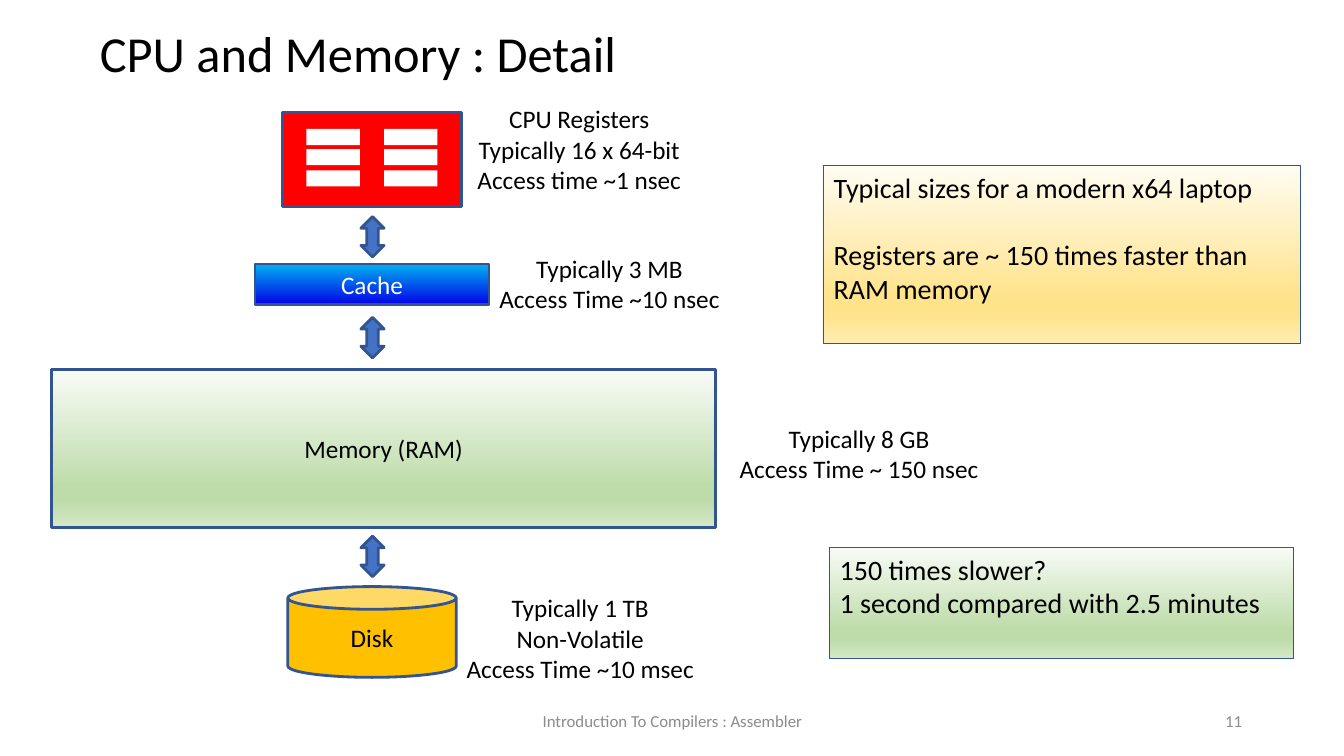
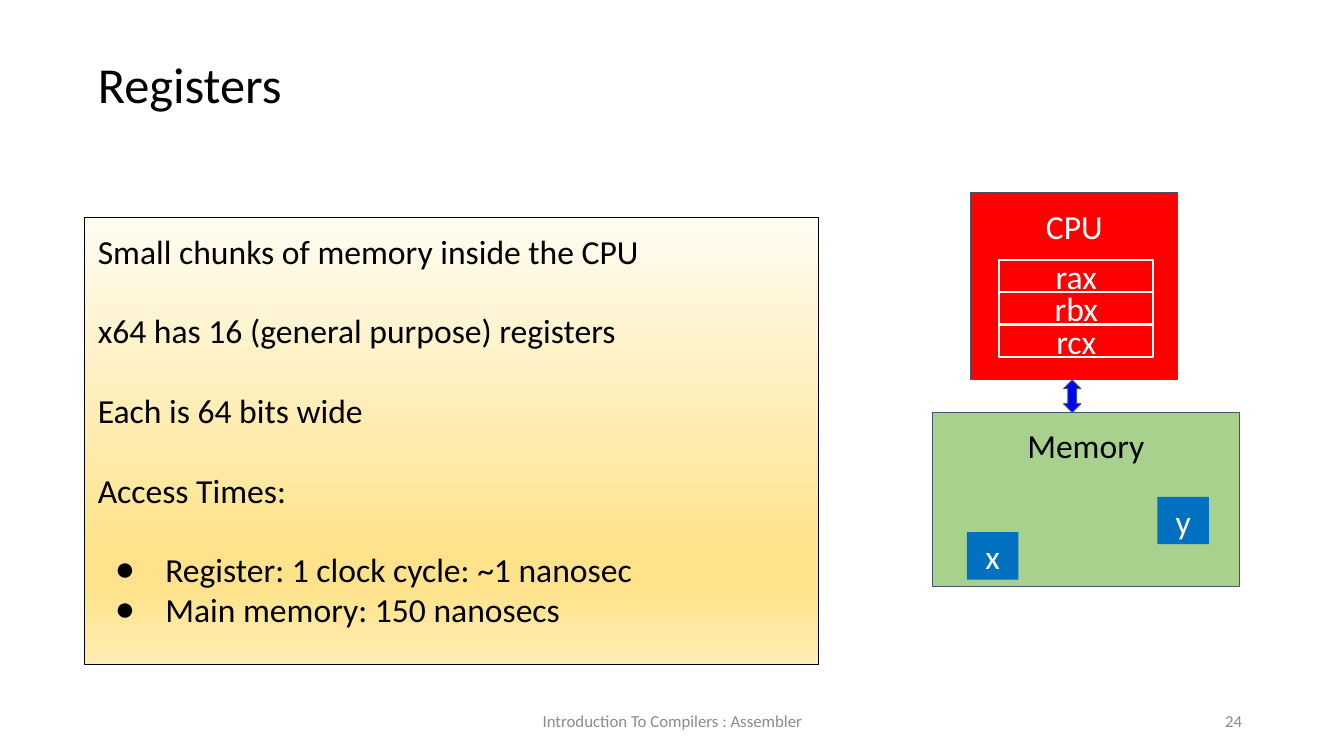
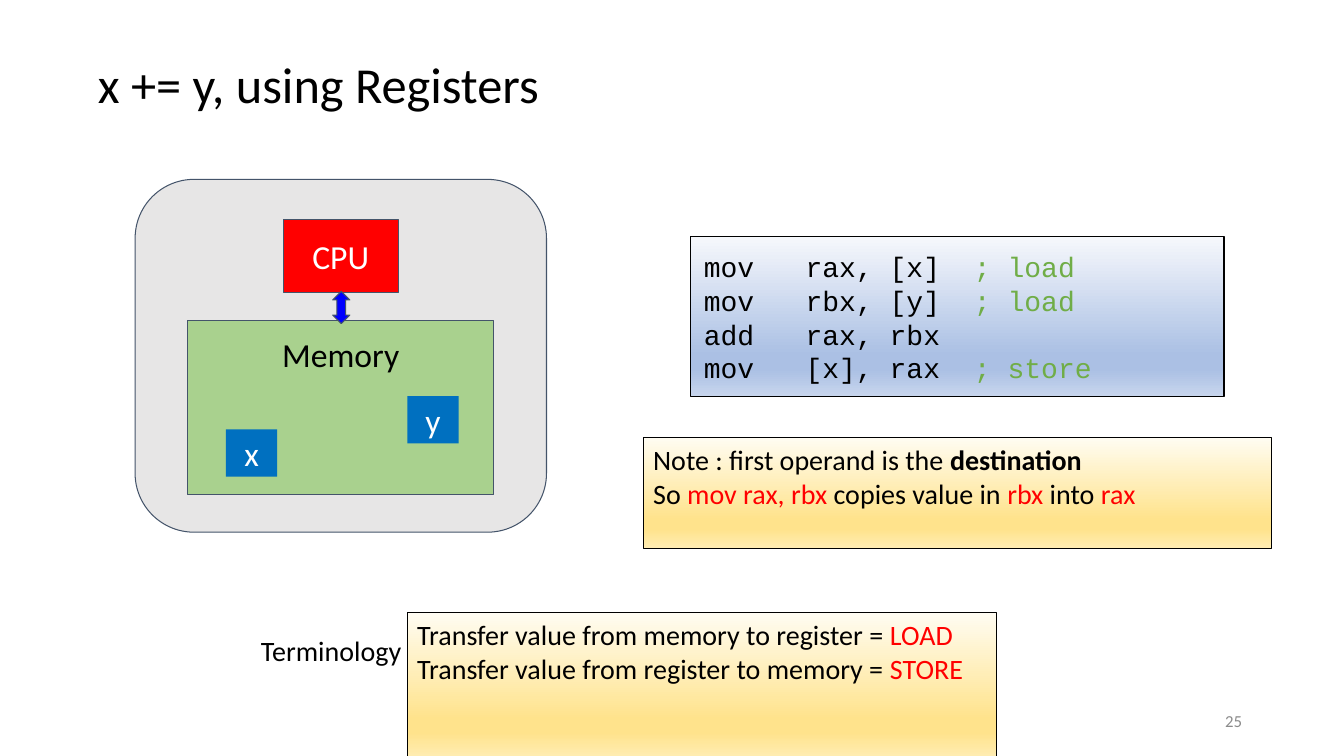
from copy import deepcopy
from itertools import product

from lxml.etree import SubElement
from pptx import Presentation
from pptx.dml.color import RGBColor
from pptx.enum.shapes import MSO_SHAPE, PP_PLACEHOLDER
from pptx.enum.text import MSO_ANCHOR, MSO_AUTO_SIZE, PP_ALIGN
from pptx.oxml.ns import qn
from pptx.util import Inches, Pt

COLORS = {
    "black": "000000", "white": "FFFFFF", "gray": "8B8B8B", "panel": "E7E6E6",
    "red": "FF0000", "blue": "0000FF", "variable": "0070C0", "arrow": "4472C4",
    "gold": "FFC000", "memory": "A9D18E", "comment": "70AD47",
    "edge": "325491", "note edge": "31538F", "slate": "44546A",
}
GRADIENTS = {
    "green fade": [(0, "F8FBF6"), (74, "BEDCAA"), (83, "BEDCAA"), (100, "D4E8C6")],
    "yellow fade": [(0, "FFFCF2"), (74, "FFE38C"), (83, "FFE38C"), (100, "FFECB2")],
    "blue fade": [(0, "F6F8FC"), (74, "ABC0E4"), (83, "ABC0E4"), (100, "C7D5ED")],
    "cache fade": [(0, "00B0F0"), (100, "0303E7")],
}
RECT, ARROW = MSO_SHAPE.RECTANGLE, MSO_SHAPE.UP_DOWN_ARROW
LEFT, CENTER, RIGHT = PP_ALIGN.LEFT, PP_ALIGN.CENTER, PP_ALIGN.RIGHT
TOP, MIDDLE = MSO_ANCHOR.TOP, MSO_ANCHOR.MIDDLE
NARROW, WIDE = (0.1, 0.05), (0.13, 0.13)
RED, GREEN, BOLD = {"color": "red"}, {"color": "comment"}, {"bold": True}

FOOTER = "Introduction To Compilers : Assembler"
FOOTER_PARTS = {
    PP_PLACEHOLDER.FOOTER: ((4.42, 6.95, 4.5, 0.4), CENTER),
    PP_PLACEHOLDER.SLIDE_NUMBER: ((9.42, 6.95, 3, 0.4), RIGHT),
}

COLUMN_CENTER = 3.69
HIERARCHY = [
    (MSO_SHAPE.RECTANGLE, 1.12, 1.78, 0.93, "red", None, "white"),
    (MSO_SHAPE.RECTANGLE, 2.62, 2.32, 0.4, "cache fade", "Cache", "white"),
    (MSO_SHAPE.CAN, 5.82, 1.67, 0.9, "gold", "Disk", "black"),
]
TRANSFER_TOPS = [2.15, 3.15, 5.32]
REGISTER_LEFTS, REGISTER_TOPS = [3.04, 3.81], [1.28, 1.48, 1.69]
LEVEL_LABELS = [
    ((4.39, 0.98, 2.71, 1.3), ["CPU Registers", "Typically 16 x 64-bit", "Access time ~1 nsec"]),
    ((4.85, 2.46, 2.39, 1), ["Typically 3 MB", "Access Time ~10 nsec"]),
    ((7.11, 4.15, 2.82, 1), ["Typically 8 GB", "Access Time ~ 150 nsec"]),
    ((4.3, 5.83, 2.91, 1.3), ["Typically 1 TB", "Non-Volatile", "Access Time ~10 msec"]),
]
LAPTOP_NOTE = ["Typical sizes for a modern x64 laptop",
               "Registers are ~ 150 times faster than RAM memory"]
SLOWER_NOTE = ["150 times slower?", "1 second compared with 2.5 minutes"]

REGISTER_FACTS = ["Small chunks of memory inside the CPU",
                  "x64 has 16 (general purpose) registers",
                  "Each is 64 bits wide",
                  "Access Times:"]
ACCESS_TIMES = ["Register: 1 clock cycle: ~1 nanosec", "Main memory: 150 nanosecs"]
REGISTER_NAMES = ["rax", "rbx", "rcx"]

CODE = [("mov\trax, [x]", "; load"), ("mov\trbx, [y]", "; load"),
        ("add\trax, rbx", None), ("mov\t[x], rax", "; store")]
CODE_TABS = [1.01, 2.68]
OPERAND_NOTE = [
    [("Note : first operand is the ", {}), ("destination", BOLD)],
    [("So ", {}), ("mov rax, rbx", RED), (" copies value in ", {}),
     ("rbx", RED), (" into ", {}), ("rax", RED)],
]
TERMS = [
    [("Transfer value from memory to register = ", {}), ("LOAD", RED)],
    [("Transfer value from register to memory = ", {}), ("STORE", RED)],
]


def assign(target, values):
    for name, value in values.items():
        setattr(target, name, value)


def rgb(color):
    return RGBColor.from_string(COLORS[color])


def place(shape, at):
    assign(shape, dict(zip(("left", "top", "width", "height"), map(Inches, at))))


def paint(shape, fill=None, line=None, weight=0.75):
    if fill in GRADIENTS:
        shape.fill.gradient()
        shape.fill.gradient_angle = 270
        stops = shape.element.spPr.find(".//" + qn("a:gsLst"))
        for old in list(stops):
            stops.remove(old)
        for percent, value in GRADIENTS[fill]:
            stop = SubElement(stops, qn("a:gs"), pos=str(percent * 1000))
            SubElement(stop, qn("a:srgbClr"), val=value)
    elif fill:
        shape.fill.solid()
        shape.fill.fore_color.rgb = rgb(fill)
    else:
        shape.fill.background()
    if line:
        shape.line.color.rgb = rgb(line)
        shape.line.width = Pt(weight)
    else:
        shape.line.fill.background()


def write(shape, paragraphs, size=18, color="black", align=LEFT, anchor=TOP,
          inset=NARROW, font="Calibri", gap=0, spacing=1.0):
    frame = shape.text_frame
    frame.clear()
    side, edge = map(Inches, inset)
    assign(frame, {"word_wrap": True, "auto_size": MSO_AUTO_SIZE.NONE,
                   "vertical_anchor": anchor, "margin_left": side, "margin_right": side,
                   "margin_top": edge, "margin_bottom": edge})
    for index, content in enumerate(paragraphs):
        paragraph = frame.paragraphs[0] if index == 0 else frame.add_paragraph()
        assign(paragraph, {"alignment": align, "line_spacing": spacing, "space_after": Pt(0),
                           "space_before": Pt(gap if index else 0)})
        for text, style in [(content, {})] if isinstance(content, str) else content:
            run = paragraph.add_run()
            run.text = text
            assign(run.font, {"name": font, "size": Pt(size), "bold": style.get("bold", False)})
            run.font.color.rgb = rgb(style.get("color", color))
    return frame


def add_box(slide, at, fill=None, line=None, weight=0.75, kind=RECT, text=None, **style):
    box = slide.shapes.add_shape(kind, *map(Inches, at))
    box.shadow.inherit = False
    paint(box, fill, line, weight)
    if text:
        write(box, [text] if isinstance(text, str) else text, **style)
    return box


def add_label(slide, at, paragraphs, **style):
    write(slide.shapes.add_textbox(*map(Inches, at)), paragraphs, **style)


def set_bullet(paragraph, bullet):
    properties = paragraph._p.get_or_add_pPr()
    properties.set("marL", str(Inches(0.67) if bullet else 0))
    properties.set("indent", str(Inches(-0.5) if bullet else 0))
    if bullet:
        SubElement(SubElement(properties, qn("a:buClr")), qn("a:srgbClr"), val=COLORS["black"])
        SubElement(properties, qn("a:buChar"), char=bullet)
    else:
        SubElement(properties, qn("a:buNone"))


def set_tabs(paragraph, positions):
    tabs = SubElement(paragraph._p.get_or_add_pPr(), qn("a:tabLst"))
    for position in positions:
        SubElement(tabs, qn("a:tab"), pos=str(Inches(position)), algn="l")


def start_slide(deck, layout_index, number, title, at, footer=FOOTER, **title_style):
    layout = deck.slide_layouts[layout_index]
    slide = deck.slides.add_slide(layout)
    texts = {PP_PLACEHOLDER.FOOTER: footer, PP_PLACEHOLDER.SLIDE_NUMBER: str(number)}
    for part in layout.placeholders:
        kind = part.placeholder_format.type
        if texts.get(kind):
            slide.shapes.element.append(deepcopy(part.element))
            footer_part = slide.shapes[-1]
            spot, align = FOOTER_PARTS[kind]
            place(footer_part, spot)
            write(footer_part, [texts[kind]], 12, "gray", align, MIDDLE)
    place(slide.shapes.title, at)
    write(slide.shapes.title, [title], 36, **title_style)
    return slide


def add_machine(slide, memory, cpu, arrow, variables, cpu_anchor):
    framed = {"line": "slate", "size": 24, "align": CENTER, "inset": WIDE}
    add_box(slide, (*memory, 3.04, 1.73), "memory", text="Memory", **framed)
    add_box(slide, cpu, "red", text="CPU", color="white", anchor=cpu_anchor, **framed)
    add_box(slide, (*arrow, 0.17, 0.32), "blue", "slate", kind=ARROW)
    for name, spot in variables.items():
        add_box(slide, (*spot, 0.51, 0.47), "variable", text=name, size=24, color="white",
                align=CENTER, anchor=MIDDLE, inset=WIDE)


def build_hierarchy(deck):
    slide = start_slide(deck, 5, 11, "CPU and Memory : Detail", (0.89, 0.25, 8.25, 0.62),
                        anchor=MIDDLE, spacing=0.9)
    centered = {"align": CENTER, "anchor": MIDDLE}
    add_box(slide, (0.51, 3.67, 6.59, 1.56), "green fade", "edge", 2,
            text="Memory (RAM)", **centered)
    for kind, top, width, height, fill, name, color in HIERARCHY:
        add_box(slide, (COLUMN_CENTER - width / 2, top, width, height), fill, "edge", 2, kind,
                name, color=color, **centered)
    for left, top in product(REGISTER_LEFTS, REGISTER_TOPS):
        add_box(slide, (left, top, 0.53, 0.16), "white")
    for top in TRANSFER_TOPS:
        add_box(slide, (COLUMN_CENTER - 0.11, top, 0.23, 0.4), "arrow", "edge", 2, ARROW)
    for at, lines in LEVEL_LABELS:
        add_label(slide, at, lines, align=CENTER)
    add_box(slide, (8.17, 1.64, 4.73, 1.77), "yellow fade", "note edge",
            text=LAPTOP_NOTE, size=20, gap=24)
    add_box(slide, (8.23, 5.43, 4.6, 1.1), "green fade", "note edge", text=SLOWER_NOTE, size=20)


def build_registers(deck):
    slide = start_slide(deck, 1, 24, "Registers", (0.84, 0.4, 7.28, 0.93), inset=WIDE)
    facts = slide.placeholders[1]
    place(facts, (0.84, 2.16, 7.28, 4.43))
    paint(facts, "yellow fade", "black")
    frame = write(facts, REGISTER_FACTS + ACCESS_TIMES, 24, inset=WIDE, gap=28)
    for index, paragraph in enumerate(frame.paragraphs):
        set_bullet(paragraph, "●" if index >= len(REGISTER_FACTS) else None)
    frame.paragraphs[-1].space_before = Pt(0)
    add_machine(slide, (9.25, 4.09), (9.63, 1.91, 2.05, 1.86), (10.55, 3.77),
                {"x": (9.59, 5.28), "y": (11.48, 4.93)}, TOP)
    for row, name in enumerate(REGISTER_NAMES):
        add_box(slide, (9.91, 2.58 + 0.32 * row, 1.53, 0.32), None, "white", 1.5, text=name,
                size=24, color="white", align=CENTER, anchor=MIDDLE, inset=WIDE)


def build_addition(deck):
    slide = start_slide(deck, 5, 25, "x += y, using Registers", (0.84, 0.4, 5.25, 0.93),
                        footer=None, inset=WIDE)
    add_box(slide, (1.34, 1.78, 4.08, 3.5), "panel", "slate", kind=MSO_SHAPE.ROUNDED_RECTANGLE)
    add_machine(slide, (1.86, 3.18), (2.81, 2.18, 1.14, 0.72), (3.3, 2.89),
                {"x": (2.24, 4.26), "y": (4.04, 3.93)}, MIDDLE)
    lines = [[(code + "\t", {}), (comment, GREEN)] if comment else code
             for code, comment in CODE]
    listing = add_box(slide, (6.85, 2.35, 5.29, 1.58), "blue fade", "black", text=lines,
                      size=20, font="Courier New", inset=WIDE)
    for paragraph in listing.text_frame.paragraphs:
        set_tabs(paragraph, CODE_TABS)
    add_box(slide, (6.38, 4.34, 6.23, 1.1), "yellow fade", "black", text=OPERAND_NOTE, size=20)
    add_box(slide, (4.04, 6.08, 5.84, 1.43), "yellow fade", "black", text=TERMS, size=20)
    add_label(slide, (2.49, 6.24, 1.7, 0.76), ["Terminology"], size=20)


def main():
    deck = Presentation()
    assign(deck, {"slide_width": Inches(13.33), "slide_height": Inches(7.5)})
    for build in (build_hierarchy, build_registers, build_addition):
        build(deck)
    deck.save("out.pptx")


if __name__ == "__main__":
    main()
